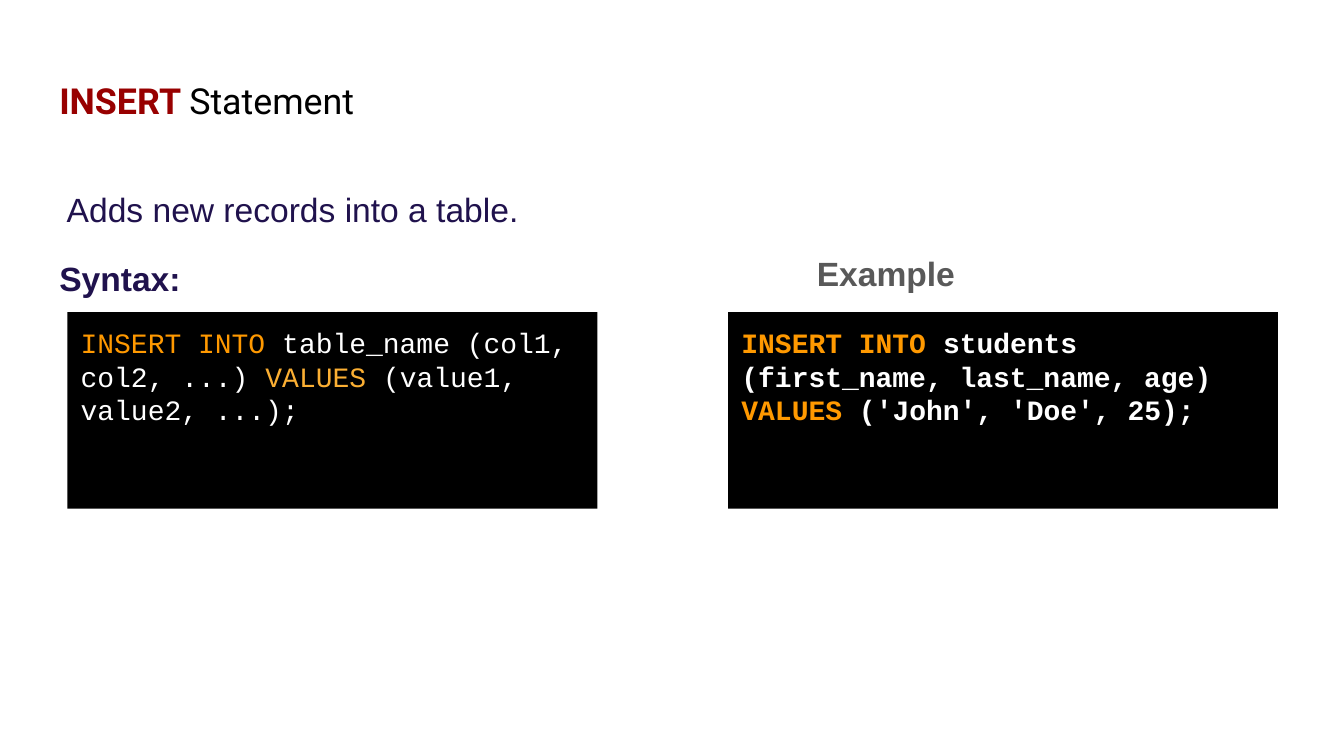
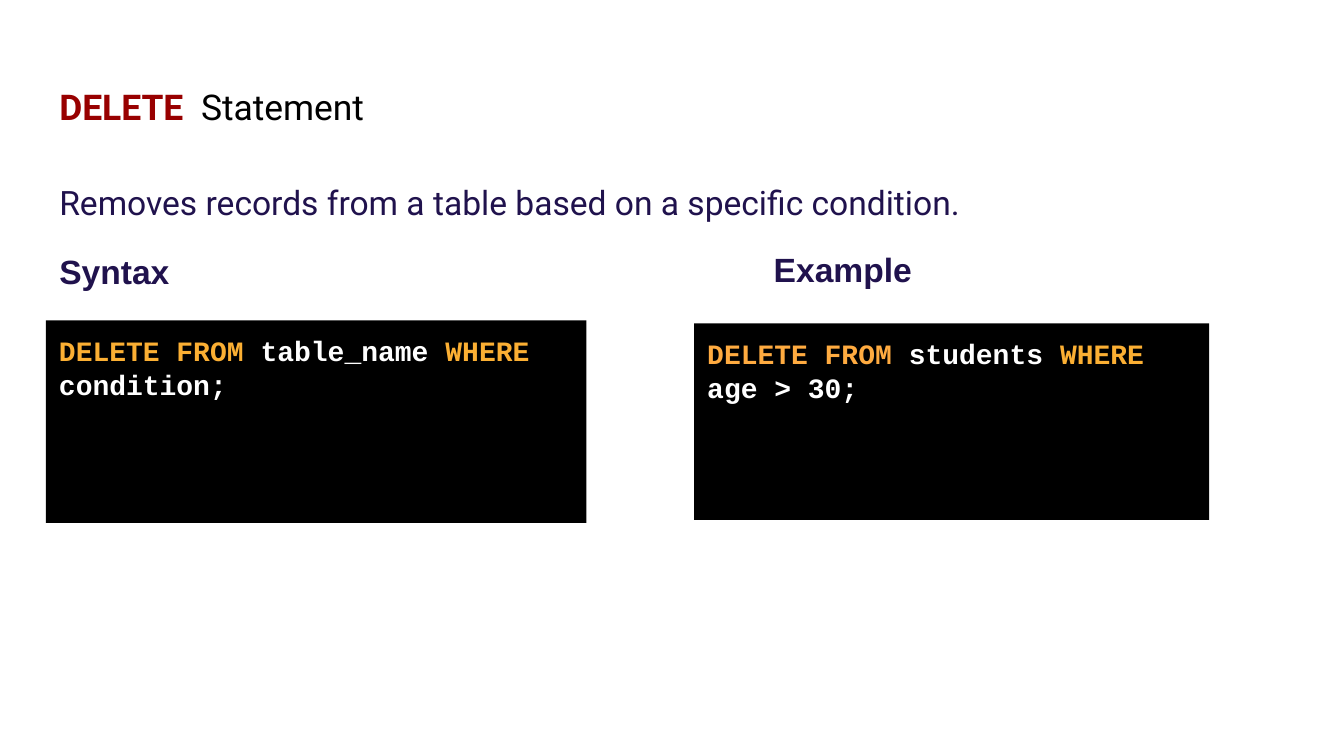
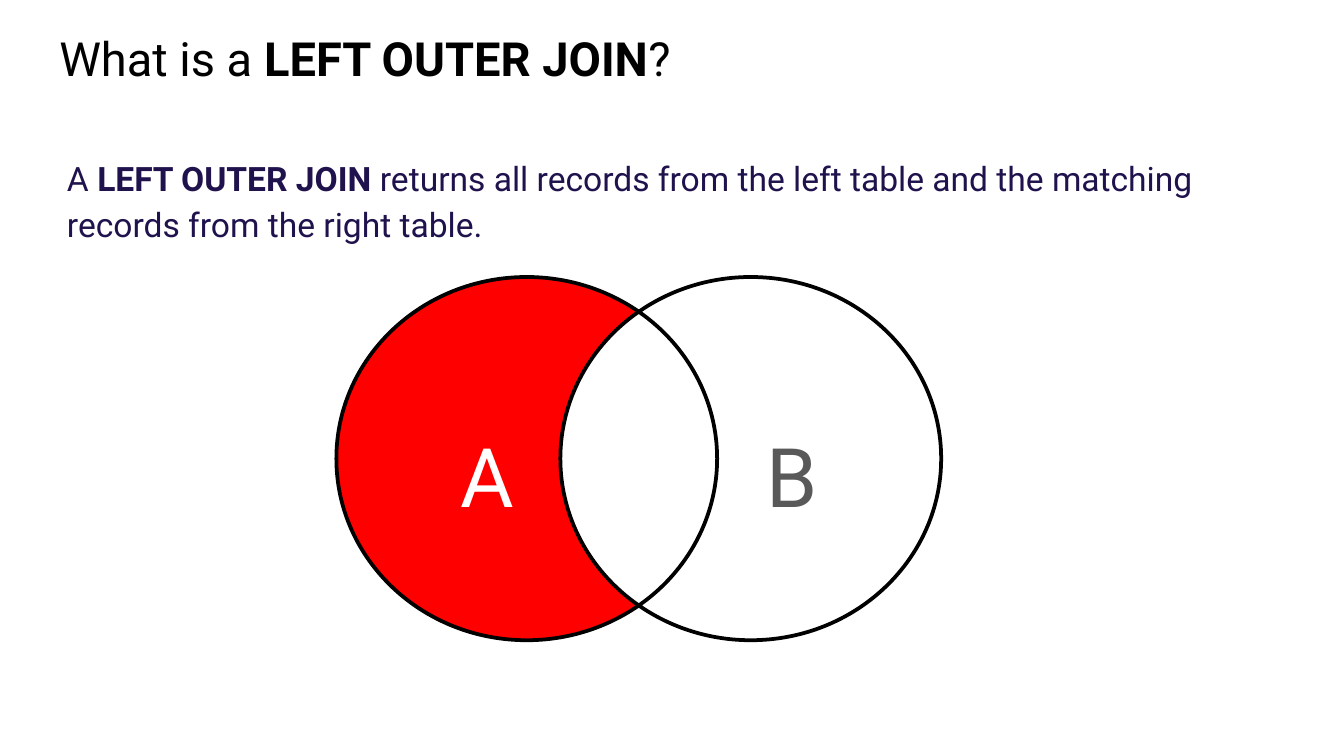
from itertools import pairwise
from math import acos, cos, pi, sin, tan

from lxml.etree import SubElement
from pptx import Presentation
from pptx.dml.color import RGBColor
from pptx.enum.shapes import MSO_SHAPE
from pptx.enum.text import MSO_ANCHOR as Anchor, MSO_AUTO_SIZE as AutoSize, PP_ALIGN as Align
from pptx.oxml import parse_xml
from pptx.oxml.ns import nsdecls, qn
from pptx.util import Pt

BLACK, WHITE, GREY = "000000", "FFFFFF", "595959"
MAROON, NAVY, RED = "980000", "20124D", "FF0000"
ORANGE, AMBER, PEACH = "FF9900", "FBAF33", "FFAB40"
SANS, TITLE_FONT, CODE_FONT = "Arial", "Roboto", "Courier New"
INSET = 7.2
MARGIN, CONTENT_WIDTH = 24.54, 670.91


def color(value):
    """Turn a hex string into a colour."""
    return RGBColor.from_string(value)


def place(shape, box):
    """Move a shape to a box of left, top, width and height."""
    shape.left, shape.top, shape.width, shape.height = map(Pt, box)


def prepare_frame(shape, inset=INSET):
    """Give a shape a wrapping, top-anchored text frame with equal insets."""
    frame = shape.text_frame
    frame.word_wrap = True
    frame.auto_size = AutoSize.NONE
    frame.vertical_anchor = Anchor.TOP
    frame.margin_left = frame.margin_top = Pt(inset)
    frame.margin_right = frame.margin_bottom = Pt(inset)
    return frame


def write(paragraph, runs, font, size, spacing=1.0, before=0, align=Align.LEFT):
    """Fill a paragraph with runs given as text, colour and boldness."""
    paragraph.alignment = align
    paragraph.line_spacing = spacing
    paragraph.space_before = Pt(before)
    for text, hex_color, bold in runs:
        run = paragraph.add_run()
        run.text = text
        run.font.name, run.font.size, run.font.bold = font, Pt(size), bold
        run.font.color.rgb = color(hex_color)


def remove_bullet(paragraph):
    """Clear the bullet and indent inherited from the layout."""
    properties = paragraph._p.get_or_add_pPr()
    properties.set("marL", "0")
    properties.set("indent", "0")
    properties.append(parse_xml(f"<a:buNone {nsdecls('a')}/>"))


def add_title(slide, top, runs, size, spacing=1.0):
    """Fill the title placeholder."""
    place(slide.shapes.title, (MARGIN, top, CONTENT_WIDTH, 45.1))
    frame = prepare_frame(slide.shapes.title)
    write(frame.paragraphs[0], runs, TITLE_FONT, size, spacing)


def add_body(slide, box, paragraphs):
    """Fill the body placeholder with paragraphs given as font and runs."""
    body = slide.placeholders[1]
    place(body, box)
    frame = prepare_frame(body)
    for index, (font, runs) in enumerate(paragraphs):
        paragraph = frame.add_paragraph() if index else frame.paragraphs[0]
        write(paragraph, runs, font, 18, 1.15, 12 if index else 0)
        remove_bullet(paragraph)


def add_label(slide, box, text, hex_color, bold=True, font=SANS, size=18, inset=INSET,
              spacing=1.0, align=Align.LEFT):
    """Add a text box that holds one short label."""
    label = slide.shapes.add_textbox(*map(Pt, box))
    frame = prepare_frame(label, inset)
    write(frame.paragraphs[0], [(text, hex_color, bold)], font, size, spacing, align=align)
    return frame


def add_code(slide, box, parts, bold=True):
    """Add a black panel with code given as text and colour."""
    panel = slide.shapes.add_shape(MSO_SHAPE.RECTANGLE, *map(Pt, box))
    panel.shadow.inherit = False
    panel.fill.solid()
    panel.fill.fore_color.rgb = color(BLACK)
    panel.line.fill.background()
    runs = [(text, hex_color, bold) for text, hex_color in parts]
    write(prepare_frame(panel).paragraphs[0], runs, CODE_FONT, 15)


def ellipse_curves(center, radii, angles):
    """Return one Bezier curve of four points for each step between angles."""
    (center_x, center_y), (radius_x, radius_y) = center, radii

    def point(angle, pull=0):
        return (Pt(center_x + radius_x * (cos(angle) - pull * sin(angle))),
                Pt(center_y + radius_y * (sin(angle) + pull * cos(angle))))

    curves = []
    for start, end in pairwise(angles):
        pull = 4 / 3 * tan((end - start) / 4)
        curves.append((point(start), point(start, pull), point(end, -pull), point(end)))
    return curves


def bend_lines(shape, curves):
    """Turn the straight segments of a freeform into Bezier curves."""
    for line, curve in zip(list(shape._element.iter(qn("a:lnTo"))), curves):
        line.tag = qn("a:cubicBezTo")
        line.clear()
        for x, y in curve[1:]:
            SubElement(line, qn("a:pt"), x=str(x - shape.left), y=str(y - shape.top))


def add_crescent(slide, near, far, radii, side, fill=None):
    """Draw the part of the near ellipse outside the far one; side is 1 or -1."""
    radius_x, radius_y = radii
    meeting = acos(abs(far[0] - near[0]) / 2 / radius_x)
    facing = (side * radius_x, radius_y)
    outer = (meeting, pi / 2, pi, 3 * pi / 2, 2 * pi - meeting)
    inner = (pi + meeting, pi, pi - meeting)
    curves = ellipse_curves(near, facing, outer) + ellipse_curves(far, facing, inner)
    builder = slide.shapes.build_freeform(*curves[0][0])
    builder.add_line_segments([curve[-1] for curve in curves], close=True)
    crescent = builder.convert_to_shape()
    bend_lines(crescent, curves)
    crescent.shadow.inherit = False
    crescent.line.color.rgb = color(BLACK)
    crescent.line.width = Pt(2)
    if fill:
        crescent.fill.solid()
        crescent.fill.fore_color.rgb = color(fill)
    else:
        crescent.fill.background()


def add_venn(slide, box):
    """Draw two overlapping sets with the left-only part filled."""
    left, top, width, height = box
    radii = radius_x, radius_y = 102, height / 2
    set_a = (left + radius_x, top + radius_y)
    set_b = (left + width - radius_x, top + radius_y)
    add_crescent(slide, set_a, set_b, radii, 1, RED)
    add_crescent(slide, set_b, set_a, radii, -1)
    for name, offset, hex_color in (("A", 60, WHITE), ("B", 223, GREY)):
        frame = add_label(slide, (left + offset, top + 53.3, 42, 53.3), name, hex_color,
                          False, TITLE_FONT, 44, 0, 1.5, Align.CENTER)
        frame.auto_size = AutoSize.SHAPE_TO_FIT_TEXT


def build_insert(slide):
    """Build the INSERT slide."""
    add_title(slide, 35.04, [("INSERT ", MAROON, True), ("Statement", BLACK, False)], 19.2)
    add_body(slide, (MARGIN, 90.75, CONTENT_WIDTH, 269), [
        (SANS, [(" Adds new records into a table.", NAVY, False)]),
        (SANS, [("Syntax:", NAVY, True)])])
    add_code(slide, (36.1, 167.2, 284, 105.3), [
        ("INSERT INTO", ORANGE), (" table_name (col1, col2, ...) ", WHITE),
        ("VALUES", AMBER), (" (value1, value2, ...);", WHITE)], False)
    add_label(slide, (430.5, 128.4, 181.5, 35.3), "Example", GREY)
    add_code(slide, (390.1, 167.2, 294.5, 105.3), [
        ("INSERT INTO", ORANGE), (" students (first_name, last_name, age) ", WHITE),
        ("VALUES", ORANGE), (" ('John', 'Doe', 25);", WHITE)])


def build_delete(slide):
    """Build the DELETE slide."""
    add_title(slide, 35.04, [("DELETE  ", MAROON, True), ("Statement", BLACK, False)], 19, 1.15)
    add_body(slide, (MARGIN, 87.2, CONTENT_WIDTH, 269), [
        (TITLE_FONT, [("Removes records from a table based on a specific condition.",
                       NAVY, False)]),
        (SANS, [("Syntax", NAVY, True)])])
    add_code(slide, (MARGIN, 171.6, 289.6, 108.6), [
        ("DELETE FROM", AMBER), (" table_name ", WHITE),
        ("WHERE", AMBER), (" condition;", WHITE)])
    add_label(slide, (407.4, 126, 181.5, 35.3), "Example", NAVY)
    add_code(slide, (371.8, 173.2, 276, 105.3), [
        ("DELETE FROM", PEACH), (" students ", WHITE),
        ("WHERE", AMBER), (" age > 30;", WHITE)])


def build_join(slide):
    """Build the LEFT OUTER JOIN slide."""
    add_title(slide, 8.6, [("What is a ", BLACK, False), ("LEFT OUTER JOIN", BLACK, True),
                           ("?", BLACK, False)], 25.2)
    add_body(slide, (28.7, 74.2, 666.7, 285.8), [
        (TITLE_FONT, [("A ", NAVY, False), ("LEFT OUTER JOIN", NAVY, True),
                      (" returns all records from the left table and the matching "
                       "records from the right table.", NAVY, False)])])
    add_venn(slide, (180.2, 148.4, 324, 194.6))


def main():
    """Build and save the presentation."""
    presentation = Presentation()
    presentation.slide_width, presentation.slide_height = Pt(720), Pt(405)
    for build in (build_insert, build_delete, build_join):
        build(presentation.slides.add_slide(presentation.slide_layouts[1]))
    presentation.save("out.pptx")


if __name__ == "__main__":
    main()
